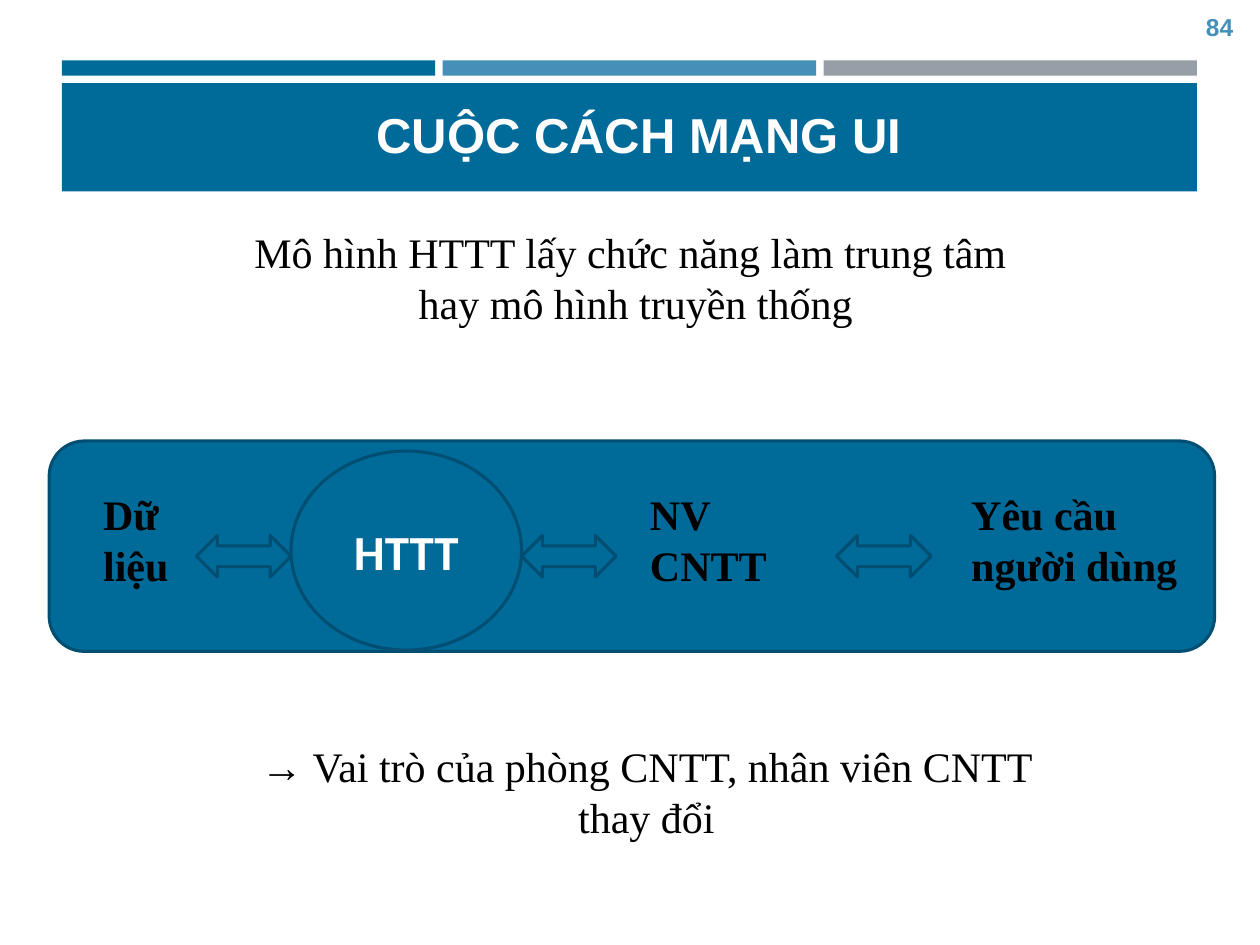
from lxml import etree
from pptx import Presentation
from pptx import util as u
from pptx.dml.color import RGBColor
from pptx.enum import shapes, text

THEME = {
    "blue": "006A99", "sky": "4590B8", "grey": "969FA7",
    "outline": "004E71", "white": "FFFFFF", "black": "000000",
    "heading": 28, "body": 24, "number": 14, "line": 1.75,
    "sans": "Arial", "serif": "Times New Roman", "node": "Calibri",
}

TITLE = "CUỘC CÁCH MẠNG UI"
INTRO = ["Mô hình HTTT lấy chức năng làm trung tâm ", "hay mô hình truyền thống"]
CONCLUSION = ["→ Vai trò của phòng CNTT, nhân viên CNTT thay đổi"]
NUMBER = "84"
HUB = "HTTT"
LABELS = [("Dữ liệu", 0.72, 0.92), ("Yêu cầu người dùng", 7.61, 1.92), ("NV CNTT", 5.06, 1.25)]
ARROW_LEFTS = [1.56, 4.14, 6.64]
STRIPES = ["blue", "sky", "grey"]

BAND = (0.49, 0.66, 9.01, 0.86)
STRIPE_TOP, STRIPE_HEIGHT, STRIPE_GAP = 0.48, 0.12, 0.06
LABEL_TOP, TEXT_HEIGHT = 3.83, 0.91
ARROW_TOP, ARROW_SIZE = 4.25, (0.75, 0.33)

SHAPE = shapes.MSO_SHAPE
CENTER, LEFT = text.PP_ALIGN.CENTER, text.PP_ALIGN.LEFT
MIDDLE, TOP, BOTTOM = text.MSO_ANCHOR.MIDDLE, text.MSO_ANCHOR.TOP, text.MSO_ANCHOR.BOTTOM


def color(name):
    return RGBColor.from_string(THEME[name])


def apply(target, values):
    for name, value in values.items():
        setattr(target, name, value)


def write(shape, lines, size, font, ink, bold=False, align=CENTER, anchor=TOP):
    frame = shape.text_frame
    apply(frame, {"word_wrap": True, "auto_size": text.MSO_AUTO_SIZE.NONE, "vertical_anchor": anchor})
    for index, line in enumerate(lines):
        paragraph = frame.add_paragraph() if index else frame.paragraphs[0]
        paragraph.alignment = align
        run = paragraph.add_run()
        run.text = line
        apply(run.font, {"size": u.Pt(THEME[size]), "name": THEME[font], "bold": bold})
        run.font.color.rgb = color(ink)


def add_block(parent, kind, box, fill, outline=None):
    shape = parent.add_shape(kind, *map(u.Inches, box))
    shape.shadow.inherit = False
    shape.fill.solid()
    shape.fill.fore_color.rgb = color(fill)
    if outline:
        shape.line.color.rgb = color(outline)
        shape.line.width = u.Pt(THEME["line"])
    else:
        shape.line.fill.background()
    return shape


def add_text(parent, box, lines, *style, **options):
    write(parent.add_textbox(*map(u.Inches, box)), lines, *style, **options)


def add_header(slide):
    left, _, width, _ = BAND
    stripe_width = (width - STRIPE_GAP * (len(STRIPES) - 1)) / len(STRIPES)
    for index, fill in enumerate(STRIPES):
        stripe_left = left + index * (stripe_width + STRIPE_GAP)
        add_block(slide.shapes, SHAPE.RECTANGLE, (stripe_left, STRIPE_TOP, stripe_width, STRIPE_HEIGHT), fill)
    add_block(slide.shapes, SHAPE.RECTANGLE, BAND, "blue")
    title = slide.shapes.title
    title.element.getparent().append(title.element)
    apply(title, dict(zip(("left", "top", "width", "height"), map(u.Inches, (0.64, 0.75, 8.86, 0.6)))))
    write(title, [TITLE], "heading", "sans", "white", bold=True, anchor=BOTTOM)


def add_diagram(slide):
    group = slide.shapes.add_group_shape().shapes
    add_block(group, SHAPE.ROUNDED_RECTANGLE, (0.39, 3.5, 9.25, 1.67), "blue", "outline")
    for label, left, width in LABELS:
        add_text(group, (left, LABEL_TOP, width, TEXT_HEIGHT), [label],
                 "body", "serif", "black", bold=True, align=LEFT)
    hub = add_block(group, SHAPE.OVAL, (2.31, 3.58, 1.83, 1.58), "blue", "outline")
    write(hub, [HUB], "heading", "node", "white", bold=True, anchor=MIDDLE)
    for left in ARROW_LEFTS:
        add_block(group, SHAPE.LEFT_RIGHT_ARROW, (left, ARROW_TOP, *ARROW_SIZE), "blue", "outline")


def main():
    presentation = Presentation()
    apply(presentation, {"slide_width": u.Inches(10), "slide_height": u.Inches(7.5)})
    slide = presentation.slides.add_slide(presentation.slide_layouts[5])
    add_header(slide)
    add_diagram(slide)
    add_text(slide.shapes, (0.42, 1.75, 9.25, TEXT_HEIGHT), INTRO, "body", "serif", "black")
    add_text(slide.shapes, (1.92, 5.83, 6.42, TEXT_HEIGHT), CONCLUSION, "body", "serif", "black")
    add_text(slide.shapes, (9.36, 0.01, 0.64, 0.4), [NUMBER], "number", "sans", "sky", bold=True, anchor=MIDDLE)
    presentation.save("out.pptx")


if __name__ == "__main__":
    main()
